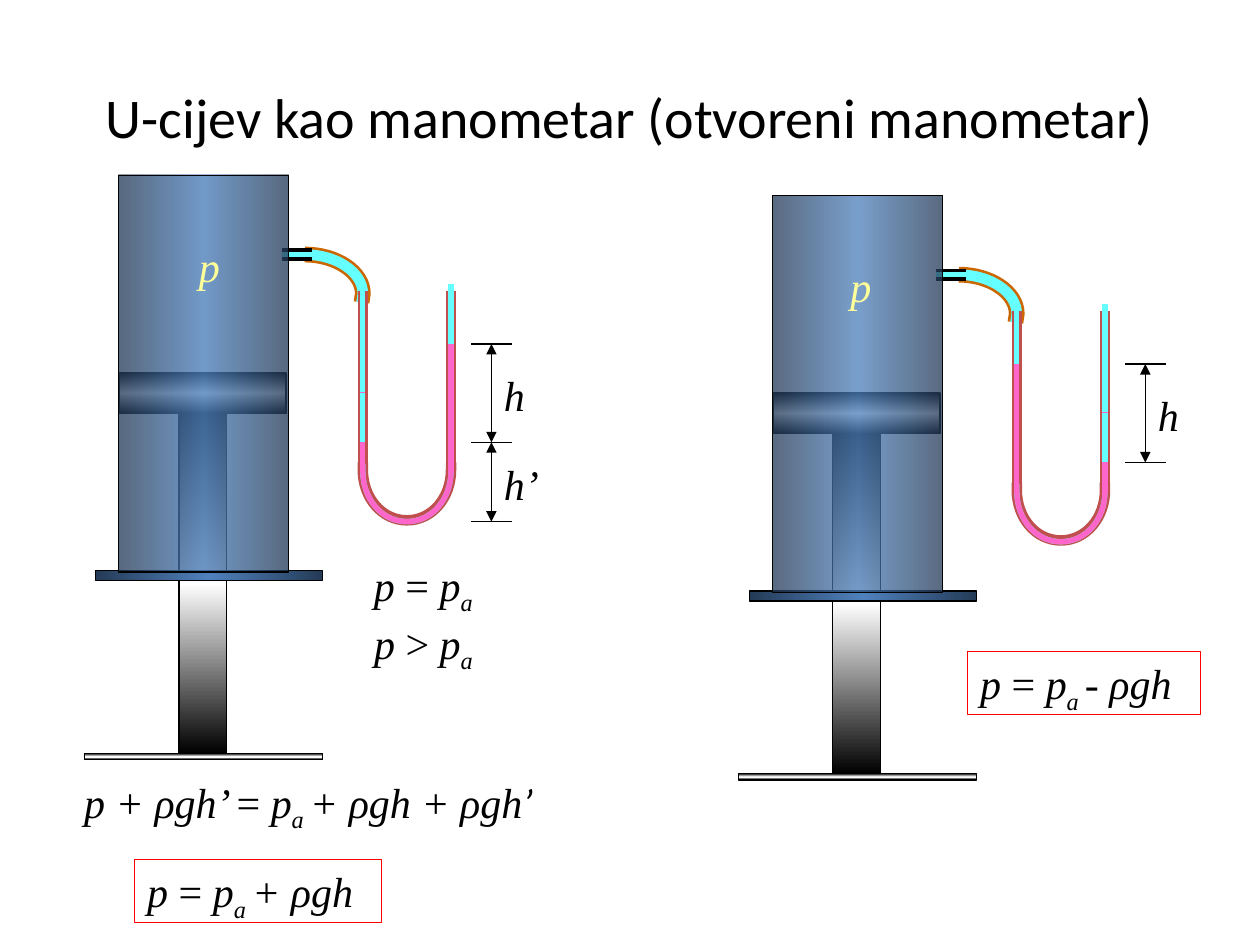
from lxml import etree
from pptx import Presentation
from pptx.dml.color import RGBColor
from pptx.enum.shapes import MSO_CONNECTOR, MSO_SHAPE
from pptx.enum.text import MSO_ANCHOR, MSO_AUTO_SIZE, PP_ALIGN
from pptx.oxml.ns import qn
from pptx.util import Inches, Pt

COLORS = {
    "black": "000000", "white": "FFFFFF", "red": "FF0000",
    "hose": "CC6600", "gas": "66FFFF", "glass": "C0504D", "liquid": "FF66CC",
    "navy": "243B57", "blue": "4F81BD", "yellow": "FFFF99",
}
SERIF, SANS = "Times New Roman", "Calibri"

# Content: formulas are runs of (text, style)
TITLE = "U-cijev kao manometar (otvoreni manometar)"
P_EQUALS = [("p ", "italic"), ("= ", "plain"), ("p", "italic")]
FORMULAS = [  # box, framed, runs
    ((0.57, 6.11, 3.88, 0.5), False,
     [("p + ρgh’ ", "italic"), ("= ", "plain"), ("p", "italic"), ("a ", "sub"),
      ("+ ρgh + ρgh", "italic"), ("’", "sans")]),
    ((1.07, 6.82, 1.96, 0.5), True, P_EQUALS + [("a ", "sub"), ("+ ρgh", "italic")]),
    ((7.68, 5.17, 1.85, 0.5), True, P_EQUALS + [("a ", "sub"), ("- ρgh", "italic")]),
    ((2.87, 4.39, 1, 0.5), False, P_EQUALS + [("a", "sub")]),
    ((2.87, 4.85, 0.99, 0.5), False,
     [("p ", "italic"), ("> ", "plain"), ("p", "italic"), ("a", "sub")]),
]

# Apparatus geometry, given for the left one
HIGH, LEVEL, LOW, BOTTOM = 2.73, 3.12, 3.51, 4.14
LEFT_LEG, RIGHT_LEG = 2.88, 3.58
ELBOW = [(2.42, 2.02), (2.67, 2.02), (2.88, 2.16), (2.88, 2.33),
         (2.88, 2.35), (2.87, 2.38), (2.87, 2.4)]
BEND = [(2.88, 3.67), (2.88, 3.69), (2.88, 3.71), (2.88, 3.73),
        (2.88, 3.95), (3.03, 4.13), (3.23, 4.13), (3.43, 4.13), (3.58, 3.95),
        (3.58, 3.73), (3.58, 3.71), (3.58, 3.69), (3.58, 3.67)]
TUBE_LAYERS = [  # colour, width, bend drop, leg bottom, leg top
    ("glass", 6, 0, 3.73, 2.31),
    ("gas", 3, 0.01, 3.74, 2.25),
    ("liquid", 3, 0.01, 3.75, 3.11),
]
METAL = [("black", 100), ("white", 100), ("black", 100)]
STEEL = [("navy", 100), ("blue", 100), ("navy", 100)]
PARTS = [  # box, stops, gradient angle
    ((0.95, 2.96, 1.32, 0.32), METAL, 90),  # piston
    ((0.67, 5.98, 1.89, 0.05), METAL, 90),  # handle
    ((1.42, 3.28, 0.38, 2.7), METAL, 90),   # rod
    ((0.76, 4.53, 1.8, 0.08), STEEL, 0),    # flange
]
CYLINDER = (0.94, 1.39, 1.35, 3.15)
APPARATUSES = [
    {"shift": (0, 0), "surfaces": [(RIGHT_LEG, "liquid", LEVEL, HIGH),
                                   (LEFT_LEG, "gas", LOW, LEVEL)],
     "heights": [("h’", LOW, BOTTOM, 3.59, 0.56), ("h", HIGH, LOW, 2.88, 0.45)],
     "opacity": (76, 79, 76), "label": (1.48, 1.86)},
    {"shift": (5.19, 0.16), "surfaces": [(LEFT_LEG, "liquid", LEVEL, HIGH),
                                         (RIGHT_LEG, "gas", LOW, LEVEL)],
     "heights": [("h", HIGH, LOW, 2.88, 0.45)],
     "opacity": (75, 75, 75), "label": (1.46, 1.86)},
]

deck = Presentation()
deck.slide_width, deck.slide_height = Inches(10), Inches(7.5)
page = deck.slides.add_slide(deck.slide_layouts[6])


def rgb(name):
    return RGBColor.from_string(COLORS[name])


def set_line(shape, color, width):
    shape.line.color.rgb = rgb(color)
    shape.line.width = Pt(width)


def add_line(start, end, color, width, arrows=False):
    line = page.shapes.add_connector(
        MSO_CONNECTOR.STRAIGHT, *(Inches(v) for v in (*start, *end)))
    set_line(line, color, width)
    props = line._element.spPr
    etree.SubElement(props, qn("a:effectLst"))
    if arrows:
        for tag in ("a:headEnd", "a:tailEnd"):
            etree.SubElement(props.find(qn("a:ln")), qn(tag), type="triangle")


def add_curve(points, color, width):
    """Draw a chain of cubic Bezier segments as an open outline."""
    track = [(Inches(x), Inches(y)) for x, y in points]
    builder = page.shapes.build_freeform(*track[0])
    builder.add_line_segments(track[1:], close=False)
    curve = builder.convert_to_shape()
    # Every three straight segments become one cubic segment
    segments = list(curve._element.iter(qn("a:lnTo")))
    outline = segments[0].getparent()
    for first in range(0, len(segments), 3):
        cubic = etree.SubElement(outline, qn("a:cubicBezTo"))
        for segment in segments[first:first + 3]:
            cubic.append(segment[0])
            outline.remove(segment)
    curve.shadow.inherit = False
    curve.fill.background()
    set_line(curve, color, width)


def add_gradient_box(box, stops, angle):
    shape = page.shapes.add_shape(MSO_SHAPE.RECTANGLE, *(Inches(v) for v in box))
    shape.shadow.inherit = False
    set_line(shape, "black", 0.75)
    shape.fill.gradient()
    shape.fill.gradient_angle = angle
    stop_list = shape._element.spPr.find(qn("a:gradFill")).find(qn("a:gsLst"))
    for old in list(stop_list):
        stop_list.remove(old)
    for position, (color, opacity) in zip((0, 50000, 100000), stops):
        stop = etree.SubElement(stop_list, qn("a:gs"), pos=str(position))
        fill = etree.SubElement(stop, qn("a:srgbClr"), val=COLORS[color])
        if opacity < 100:
            etree.SubElement(fill, qn("a:alpha"), val=str(opacity * 1000))


def add_text(box, runs, color="black", framed=False):
    place = [Inches(v) for v in box]
    if framed:
        shape = page.shapes.add_shape(MSO_SHAPE.RECTANGLE, *place)
        shape.shadow.inherit = False
        shape.fill.background()
        set_line(shape, "red", 0.75)
    else:
        shape = page.shapes.add_textbox(*place)
    frame = shape.text_frame
    frame.word_wrap = False
    frame.auto_size = MSO_AUTO_SIZE.SHAPE_TO_FIT_TEXT
    frame.vertical_anchor = MSO_ANCHOR.TOP
    para = frame.paragraphs[0]
    para.alignment = PP_ALIGN.LEFT
    for text, style in runs:
        span = para.add_run()
        span.text = text
        span.font.size = Pt(24)
        span.font.name = SANS if style == "sans" else SERIF
        span.font.italic = style != "plain"
        span.font.color.rgb = rgb(color)
        if style == "sub":
            span.font._element.set("baseline", "-25000")


def add_apparatus(shift, surfaces, heights, opacity, label):
    def at(x, y):
        return x + shift[0], y + shift[1]

    # Hose and nozzle
    for color, width in (("hose", 9), ("gas", 6)):
        add_curve([at(*point) for point in ELBOW], color, width)
    for color, width in (("black", 7), ("gas", 3)):
        add_line(at(2.48, 2.02), at(2.24, 2.02), color, width)

    # U-tube and its contents
    for color, width, drop, bottom, top in TUBE_LAYERS:
        add_curve([at(x, y + drop) for x, y in BEND], color, width)
        for leg in (LEFT_LEG, RIGHT_LEG):
            add_line(at(leg, bottom), at(leg, top), color, width)
    for leg, color, bottom, top in surfaces:
        add_line(at(leg, bottom), at(leg, top), color, 3)

    # Height marks
    for y in sorted({y for mark in heights for y in mark[1:3]}):
        add_line(at(3.74, y), at(4.06, y), "black", 0.75)
    for text, top, bottom, text_top, width in heights:
        add_line(at(3.9, top), at(3.9, bottom), "black", 0.75, arrows=True)
        add_text((*at(3.9, text_top), width, 0.5), [(text, "italic")])

    # Piston and translucent cylinder
    for box, stops, angle in PARTS:
        add_gradient_box((*at(*box[:2]), *box[2:]), stops, angle)
    stops = list(zip(("navy", "blue", "navy"), opacity))
    add_gradient_box((*at(*CYLINDER[:2]), *CYLINDER[2:]), stops, 0)
    add_text((*at(*label), 0.37, 0.5), [("p", "italic")], "yellow")


# Title
title = page.shapes.add_textbox(Inches(0.5), Inches(0.3), Inches(9), Inches(1.25))
title.text_frame.word_wrap = True
title.text_frame.vertical_anchor = MSO_ANCHOR.MIDDLE
heading = title.text_frame.paragraphs[0]
heading.alignment = PP_ALIGN.CENTER
span = heading.add_run()
span.text = TITLE
span.font.size, span.font.name = Pt(32), SANS
span.font.color.rgb = rgb("black")

# Apparatuses and formulas
for apparatus in APPARATUSES:
    add_apparatus(**apparatus)
for box, framed, runs in FORMULAS:
    add_text(box, runs, framed=framed)

deck.save("out.pptx")
